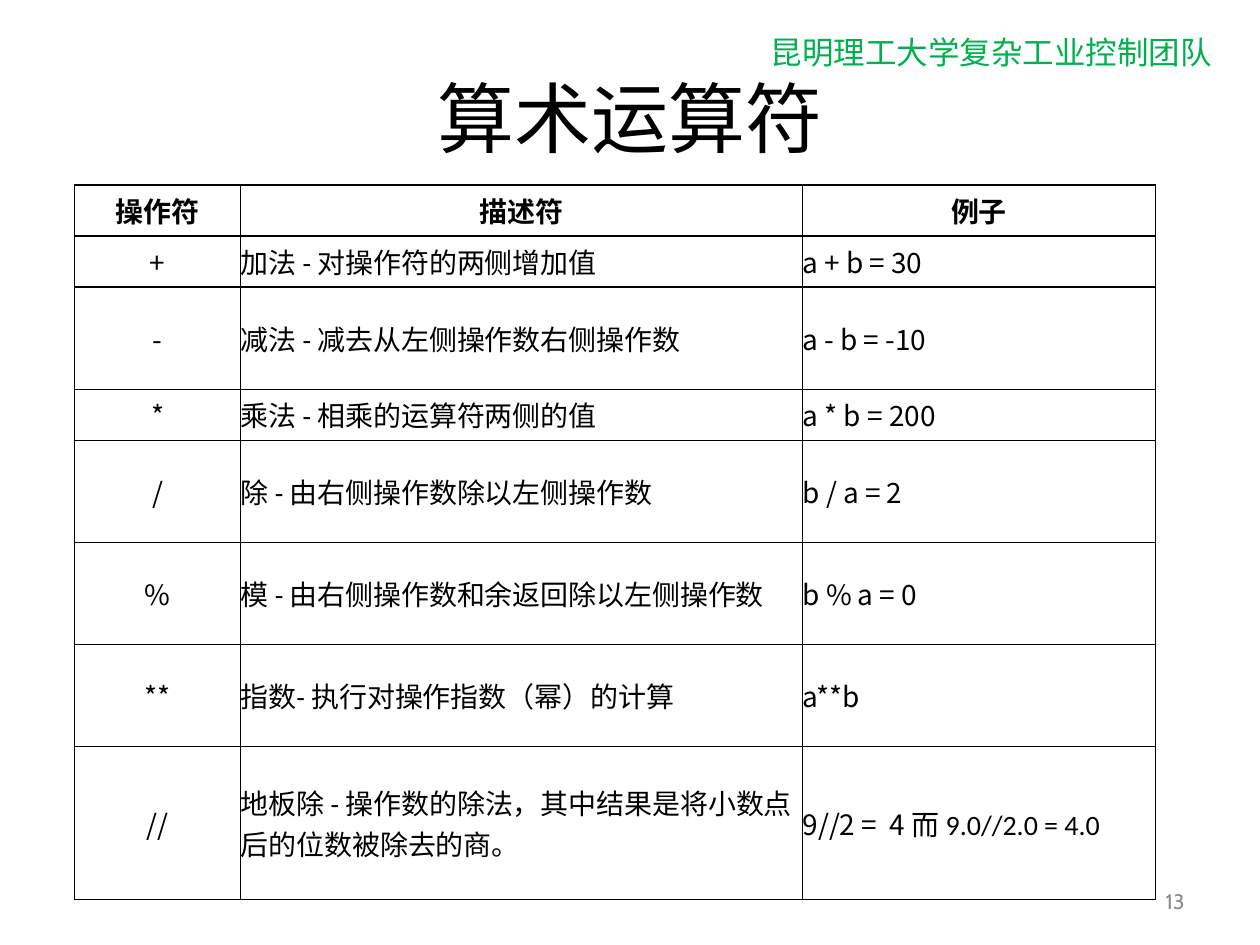
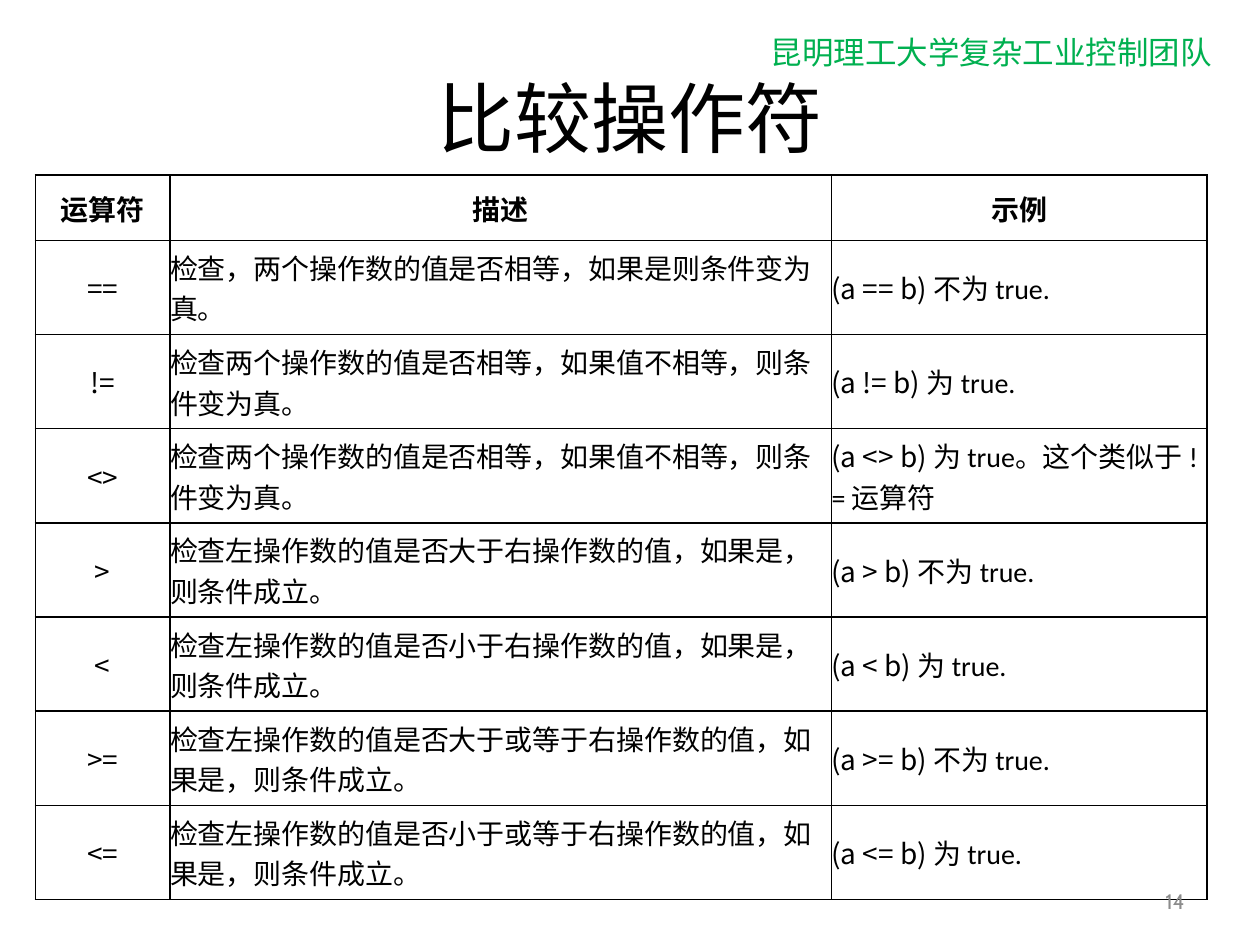
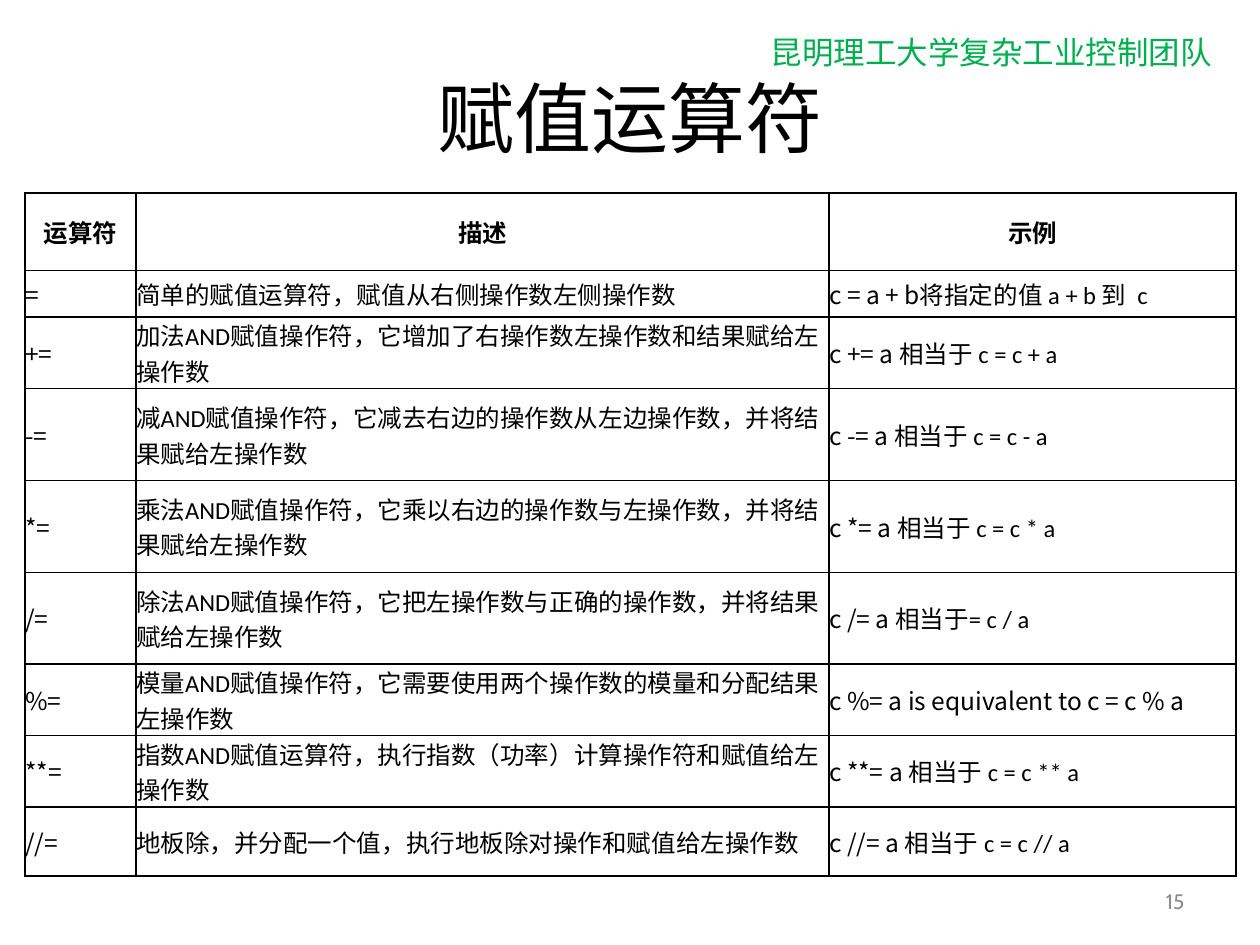
from lxml import etree
from pptx import Presentation
from pptx.dml.color import RGBColor
from pptx.enum import text
from pptx.oxml import ns
from pptx.util import Inches, Pt

# Shared style
BLACK = RGBColor(0x00, 0x00, 0x00)
GREEN = RGBColor(0x00, 0xB0, 0x50)
GREY = RGBColor(0x8C, 0x8C, 0x8C)
HEADING_FONT = "Cabin"
BODY_FONT = "Calibri"
CODE_FONT = "Noto Sans CJK SC"
EAST_ASIAN_FONT = "Noto Sans CJK SC"
LEFT, CENTER, RIGHT = text.PP_ALIGN.LEFT, text.PP_ALIGN.CENTER, text.PP_ALIGN.RIGHT
MIDDLE = text.MSO_ANCHOR.MIDDLE

TEAM = "昆明理工大学复杂工业控制团队"
TEAM_BOX = (6.02, 0.21, 3.74, 0.4)
TITLE_BOX = (0.5, 0.3, 9, 1.25)
NUMBER_BOX = (7.17, 6.95, 2.33, 0.4)


def add_run(paragraph, words, size, font, color=BLACK, bold=False):
    run = paragraph.add_run()
    run.text = words
    run.font.size = Pt(size)
    run.font.name = font
    run.font.bold = bold
    run.font.color.rgb = color
    latin = run.font._element.find(ns.qn("a:latin"))
    east_asian = etree.Element(ns.qn("a:ea"), typeface=EAST_ASIAN_FONT)
    latin.addnext(east_asian)


def add_label(slide, box, words, size, color, align, anchor, wrap):
    label = slide.shapes.add_textbox(*map(Inches, box))
    frame = label.text_frame
    frame.word_wrap = wrap
    frame.vertical_anchor = anchor
    paragraph = frame.paragraphs[0]
    paragraph.alignment = align
    add_run(paragraph, words, size, HEADING_FONT, color)
    return label


def set_title(slide, box, words):
    title = slide.shapes.title
    title.left, title.top, title.width, title.height = map(Inches, box)
    title.text_frame.vertical_anchor = MIDDLE
    paragraph = title.text_frame.paragraphs[0]
    paragraph.alignment = CENTER
    add_run(paragraph, words, 44, HEADING_FONT)


def set_borders(cell):
    properties = cell._tc.get_or_add_tcPr()
    for index, side in enumerate(("lnL", "lnR", "lnT", "lnB")):
        line = etree.Element(ns.qn("a:" + side), w=str(Pt(1)))
        fill = etree.SubElement(line, ns.qn("a:solidFill"))
        etree.SubElement(fill, ns.qn("a:srgbClr"), val=str(BLACK))
        properties.insert(index, line)


def fill_cell(cell, runs, size, align, margin, bold=False):
    """Write (words, font) runs into a bordered cell."""
    cell.fill.background()
    set_borders(cell)
    cell.vertical_anchor = MIDDLE
    cell.margin_left = cell.margin_right = Inches(margin)
    cell.margin_top = cell.margin_bottom = Inches(margin)
    paragraph = cell.text_frame.paragraphs[0]
    paragraph.alignment = align
    for words, font in runs:
        add_run(paragraph, words, size, font, bold=bold)


def add_operator_table(slide, box, columns, row_weights, header, rows,
                       size, header_margin, operator_align):
    left, top, width, height = map(Inches, box)
    frame = slide.shapes.add_table(len(rows) + 1, len(columns),
                                   left, top, width, height)
    table = frame.table
    table.first_row = table.horz_banding = False
    for column, column_width in zip(table.columns, columns):
        column.width = Inches(column_width)
    for row, weight in zip(table.rows, row_weights):
        row.height = int(height * weight / sum(row_weights))

    for index, words in enumerate(header):
        fill_cell(table.cell(0, index), [(words, BODY_FONT)], size, CENTER,
                  header_margin, bold=True)
    # Each example is code, then an optional remark after a bar
    for index, (operator, description, example) in enumerate(rows, 1):
        code, _, remark = example.partition("|")
        example_runs = [(code, CODE_FONT)]
        if remark:
            example_runs.append((remark, BODY_FONT))
        fill_cell(table.cell(index, 0), [(operator, CODE_FONT)], size, operator_align, 0)
        fill_cell(table.cell(index, 1), [(description, BODY_FONT)], size, LEFT, 0)
        fill_cell(table.cell(index, 2), example_runs, size, LEFT, 0)


def add_operator_slide(presentation, number, title, **table):
    slide = presentation.slides.add_slide(presentation.slide_layouts[5])
    # Team name lies behind the title
    team = add_label(slide, TEAM_BOX, TEAM, 18, GREEN, LEFT,
                     text.MSO_ANCHOR.TOP, wrap=False)
    team.text_frame.auto_size = text.MSO_AUTO_SIZE.SHAPE_TO_FIT_TEXT
    slide.shapes.title.element.addprevious(team.element)
    set_title(slide, TITLE_BOX, title)
    add_operator_table(slide, **table)
    add_label(slide, NUMBER_BOX, str(number), 12, GREY, RIGHT, MIDDLE, wrap=True)


ARITHMETIC = [
    ("+", "加法 - 对操作符的两侧增加值", "a + b = 30"),
    ("-", "减法 - 减去从左侧操作数右侧操作数", "a - b = -10"),
    ("*", "乘法 - 相乘的运算符两侧的值", "a * b = 200"),
    ("/", "除 - 由右侧操作数除以左侧操作数", "b / a = 2"),
    ("%", "模 - 由右侧操作数和余返回除以左侧操作数", "b % a = 0"),
    ("**", "指数- 执行对操作指数（幂）的计算", "a**b"),
    ("//", "地板除 - 操作数的除法，其中结果是将小数点后的位数被除去的商。",
     "9//2 = \u00a04 |而 9.0//2.0 = 4.0"),
]

UNEQUAL = "检查两个操作数的值是否相等，如果值不相等，则条件变为真。"
ORDERED = "检查左操作数的值是否{}右操作数的值，如果是，则条件成立。"
COMPARISON = [
    ("==", "检查，两个操作数的值是否相等，如果是则条件变为真。", "(a == b) |不为\u00a0true."),
    ("!=", UNEQUAL, "(a != b) |为\u00a0true."),
    ("<>", UNEQUAL, "(a <> b) |为\u00a0true。这个类似于\u00a0!= 运算符"),
    (">", ORDERED.format("大于"), "(a > b) |不为\u00a0true."),
    ("<", ORDERED.format("小于"), "(a < b) |为\u00a0true."),
    (">=", ORDERED.format("大于或等于"), "(a >= b) |不为 true."),
    ("<=", ORDERED.format("小于或等于"), "(a <= b) |为\u00a0true."),
]

EQUIVALENT = "c {0}= a\u00a0|相当于\u00a0c = c {0} a"
ASSIGNMENT = [
    ("=", "简单的赋值运算符，赋值从右侧操作数左侧操作数",
     "c = a + b|将指定的值\u00a0a + b 到 \u00a0c"),
    ("+=", "加法AND赋值操作符，它增加了右操作数左操作数和结果赋给左操作数",
     "c += a |相当于\u00a0c = c + a"),
    ("-=", "减AND赋值操作符，它减去右边的操作数从左边操作数，并将结果赋给左操作数",
     EQUIVALENT.format("-")),
    ("*=", "乘法AND赋值操作符，它乘以右边的操作数与左操作数，并将结果赋给左操作数",
     EQUIVALENT.format("*")),
    ("/=", "除法AND赋值操作符，它把左操作数与正确的操作数，并将结果赋给左操作数",
     "c /= a\u00a0|相当于= c / a"),
    ("%=", "模量AND赋值操作符，它需要使用两个操作数的模量和分配结果左操作数",
     "c %= a is equivalent to c = c % a"),
    ("**=", "指数AND赋值运算符，执行指数（功率）计算操作符和赋值给左操作数",
     EQUIVALENT.format("**")),
    ("//=", "地板除，并分配一个值，执行地板除对操作和赋值给左操作数",
     EQUIVALENT.format("//")),
]

presentation = Presentation()
presentation.slide_width, presentation.slide_height = Inches(10), Inches(7.5)

add_operator_slide(
    presentation, 13, "算术运算符",
    box=(0.59, 1.47, 8.58, 5.67), columns=(1.32, 4.46, 2.8),
    row_weights=(1, 1, 2, 1, 2, 2, 2, 3),
    header=("操作符", "描述符", "例子"), rows=ARITHMETIC,
    size=16, header_margin=0, operator_align=CENTER)
add_operator_slide(
    presentation, 14, "比较操作符",
    box=(0.28, 1.39, 9.29, 5.75), columns=(1.07, 5.25, 2.98),
    row_weights=[0.52] + [0.75] * 7,
    header=("运算符", "描述", "示例"), rows=COMPARISON,
    size=16, header_margin=0.04, operator_align=CENTER)
add_operator_slide(
    presentation, 15, "赋值运算符",
    box=(0.2, 1.53, 9.61, 5.37), columns=(0.88, 5.5, 3.23),
    row_weights=(0.62, 0.37, 0.55, 0.73, 0.73, 0.73, 0.55, 0.55, 0.55),
    header=("运算符", "描述", "示例"), rows=ASSIGNMENT,
    size=14, header_margin=0.03, operator_align=LEFT)

presentation.save("out.pptx")
